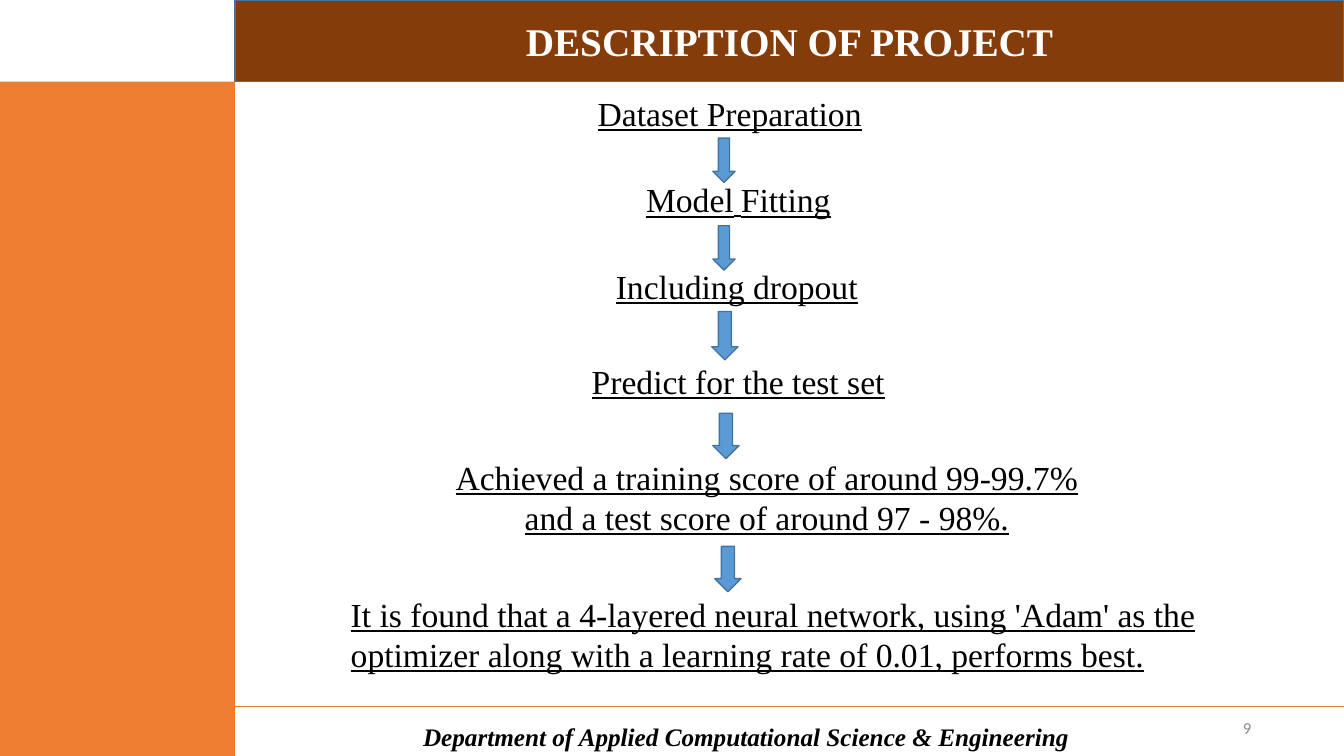
"""Build the project description slide with its flow of steps."""
import pptx
import pptx.chart.data
import pptx.dml.color
import pptx.enum.shapes
import pptx.enum.text
import pptx.oxml
import pptx.util

Inches = pptx.util.Inches
Pt = pptx.util.Pt
KINDS = pptx.enum.shapes.MSO_SHAPE
ALIGN = pptx.enum.text.PP_ALIGN
MIDDLE = pptx.enum.text.MSO_ANCHOR.MIDDLE

ORANGE = "ED7D31"
BROWN = "843C0B"
BLUE = "5B9BD5"
EDGE = "43739E"
SERIF = "Times New Roman"

STEP = {"name": SERIF, "size": Pt(24), "underline": True}
TITLE = {"name": SERIF, "size": Pt(28), "bold": True}
FOOT = {"name": SERIF, "size": Pt(18), "bold": True, "italic": True}
PAGE = {"name": "Calibri", "size": Pt(12)}

STEPS = [
    ((5.83, 0.87, 3.03, 0.5), ["Dataset Preparation"], ALIGN.LEFT),
    ((6.31, 1.73, 2.33, 0.5), ["Model", " ", "Fitting"], ALIGN.LEFT),
    ((6.01, 2.59, 2.93, 0.5), ["Including dropout"], ALIGN.LEFT),
    ((5.77, 3.53, 3.25, 0.5), ["Predict for the test set"], ALIGN.LEFT),
    ((4.35, 4.48, 6.51, 0.91),
     ["Achieved a training score of around 99-99.7% "
      "and a test score of around 97 - 98%."], ALIGN.CENTER),
    ((3.38, 5.84, 9.81, 0.91),
     ["It is found that a 4-layered neural network, using 'Adam' as the "
      "optimizer along with a learning rate of 0.01, performs best."],
     ALIGN.LEFT),
]
ARROWS = [
    (7.07, 1.37, 0.22, 0.44),
    (7.07, 2.24, 0.22, 0.44),
    (7.06, 3.09, 0.26, 0.48),
    (7.07, 4.1, 0.26, 0.45),
    (7.09, 5.42, 0.26, 0.45),
]


def tint(hue):
    """Return the colour for a hex string."""
    return pptx.dml.color.RGBColor.from_string(hue)


def write(shape, words, style, hue="000000", align=ALIGN.CENTER, anchor=None):
    """Fill a shape with one paragraph of runs and return the runs."""
    frame = shape.text_frame
    frame.word_wrap = True
    if anchor is not None:
        frame.vertical_anchor = anchor
    para = frame.paragraphs[0]
    para.alignment = align
    runs = []
    for word in words:
        run = para.add_run()
        run.text = word
        for key, value in style.items():
            setattr(run.font, key, value)
        run.font.color.rgb = tint(hue)
        runs.append(run)
    return runs


def add_text(slide, place, words, style, **look):
    """Add a text box and return its runs."""
    box = slide.shapes.add_textbox(*map(Inches, place))
    return write(box, words, style, **look)


def add_block(slide, kind, place, fill, edge=None):
    """Add a filled shape, with an outline if an edge colour is given."""
    shape = slide.shapes.add_shape(kind, *map(Inches, place))
    shape.shadow.inherit = False
    shape.fill.solid()
    shape.fill.fore_color.rgb = tint(fill)
    if edge:
        shape.line.color.rgb = tint(edge)
        shape.line.width = Pt(1)
    else:
        shape.line.fill.background()
    return shape


def add_rule(slide, top):
    """Draw the thin line above the footer."""
    ends = map(Inches, (0, top, 13.33, top))
    rule = slide.shapes.add_connector(
        pptx.enum.shapes.MSO_CONNECTOR.STRAIGHT, *ends)
    rule.line.color.rgb = tint(ORANGE)
    rule.line.width = Pt(0.5)
    pptx.oxml.ns.qn("a:effectLst")
    blank = pptx.oxml.parse_xml(
        "<a:effectLst xmlns:a="
        '"http://schemas.openxmlformats.org/drawingml/2006/main"/>')
    rule._element.spPr.append(blank)


def main():
    """Build and save the slide."""
    deck = pptx.Presentation()
    deck.slide_width = Inches(13.33)
    deck.slide_height = Inches(7.5)
    slide = deck.slides.add_slide(deck.slide_layouts[6])

    add_rule(slide, 7.01)
    add_text(slide, (3.78, 7.19, 7.24, 0.23),
             ["Department of Applied Computational Science & Engineering"],
             FOOT, anchor=MIDDLE)
    add_text(slide, (9.51, 7.02, 3, 0.4), ["9"], PAGE, hue="8C8C8C",
             align=ALIGN.RIGHT, anchor=MIDDLE)

    add_block(slide, KINDS.RECTANGLE, (0, 0.81, 2.33, 6.69), ORANGE)
    band = add_block(slide, KINDS.RECTANGLE, (2.33, 0, 11, 0.81), BROWN, EDGE)
    write(band, ["DESCRIPTION OF PROJECT"], TITLE, hue="FFFFFF", anchor=MIDDLE)

    for place, words, align in STEPS:
        for run in add_text(slide, place, words, STEP, align=align):
            if run.text == " ":
                run.font.size = Pt(20)
    for place in ARROWS:
        add_block(slide, KINDS.DOWN_ARROW, place, BLUE, EDGE)

    deck.save("out.pptx")


if __name__ == "__main__":
    main()
